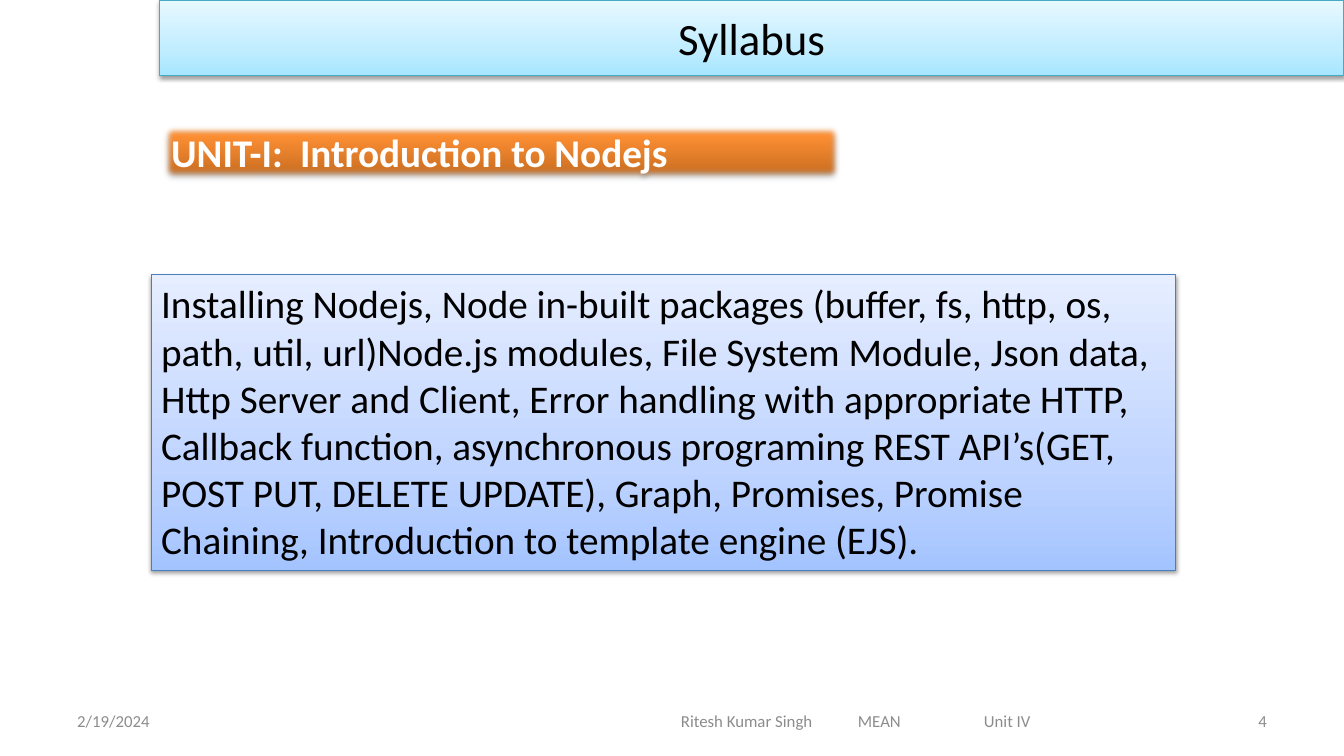
from dataclasses import dataclass
from typing import Optional

from lxml.etree import SubElement
from pptx import Presentation
from pptx.dml.color import RGBColor
from pptx.enum.shapes import MSO_SHAPE
from pptx.enum.text import MSO_ANCHOR, PP_ALIGN
from pptx.oxml.ns import qn
from pptx.util import Pt

FONT = "Calibri"
FOOTER_TOP, FOOTER_HEIGHT = 500.4, 28.8
SIDE_INSET = 7.2


@dataclass
class Label:
    text: str
    left: float
    top: float
    width: float
    height: float
    size: float
    color: str
    align: PP_ALIGN = PP_ALIGN.LEFT
    anchor: MSO_ANCHOR = MSO_ANCHOR.MIDDLE
    bold: bool = False
    inset: float = SIDE_INSET
    tabs: tuple[float, ...] = ()


@dataclass
class Panel:
    label: Label
    stops: tuple[tuple[int, str], ...]
    line: Optional[str]
    shadow_opacity: int
    shadow_distance: float
    soft_edge: float = 0


def rgb(value: str) -> RGBColor:
    return RGBColor.from_string(value)


def write_text(shape, label: Label) -> None:
    text_frame = shape.text_frame
    text_frame.word_wrap = True
    text_frame.vertical_anchor = label.anchor
    text_frame.margin_left = Pt(label.inset)
    text_frame.text = label.text
    paragraph = text_frame.paragraphs[0]
    paragraph.alignment = label.align
    if label.tabs:
        properties = paragraph._p.get_or_add_pPr()
        tab_list = SubElement(properties, qn("a:tabLst"))
        for position in label.tabs:
            SubElement(tab_list, qn("a:tab"), pos=str(Pt(position)), algn="l")
    for run in paragraph.runs:
        run.font.name = FONT
        run.font.size = Pt(label.size)
        run.font.bold = label.bold
        run.font.color.rgb = rgb(label.color)


def bounds(label: Label) -> tuple[Pt, Pt, Pt, Pt]:
    return Pt(label.left), Pt(label.top), Pt(label.width), Pt(label.height)


def add_label(slide, label: Label) -> None:
    write_text(slide.shapes.add_textbox(*bounds(label)), label)


def add_panel(slide, panel: Panel) -> None:
    shape = slide.shapes.add_shape(MSO_SHAPE.RECTANGLE, *bounds(panel.label))
    # Gradient running from the bottom up
    shape.fill.gradient()
    shape.fill.gradient_angle = 90
    stop_list = shape._element.spPr.find(".//" + qn("a:gsLst"))
    for stop in list(stop_list):
        stop_list.remove(stop)
    for position, color in panel.stops:
        stop = SubElement(stop_list, qn("a:gs"), pos=str(position * 1000))
        SubElement(stop, qn("a:srgbClr"), val=color)
    # Outline
    if panel.line:
        shape.line.color.rgb = rgb(panel.line)
        shape.line.width = Pt(0.75)
    else:
        shape.line.fill.background()
    # Shadow and soft edge
    shape.shadow.inherit = False
    effects = shape._element.spPr.find(qn("a:effectLst"))
    shadow = SubElement(
        effects, qn("a:outerShdw"), blurRad=str(Pt(3.1)),
        dist=str(Pt(panel.shadow_distance)), dir="5400000", rotWithShape="0")
    color = SubElement(shadow, qn("a:srgbClr"), val="000000")
    SubElement(color, qn("a:alpha"), val=str(panel.shadow_opacity * 1000))
    if panel.soft_edge:
        SubElement(effects, qn("a:softEdge"), rad=str(Pt(panel.soft_edge)))
    write_text(shape, panel.label)


PANELS = [
    Panel(Label("Syllabus", 113.8, 0, 846.2, 54, 32, "000000", PP_ALIGN.CENTER),
          ((0, "A7E6FF"), (35, "C1EDFF"), (100, "E7F8FF")), "46AAC5", 38, 1.6),
    Panel(Label("UNIT-I:\tIntroduction to Nodejs", 115.2, 88, 486, 41.2, 28,
                "FFFFFF", anchor=MSO_ANCHOR.TOP, bold=True, tabs=(92,)),
          ((0, "C2691F"), (80, "FF9034"), (100, "FF9136")), None, 35, 1.8, 5),
    Panel(Label("Installing Nodejs, Node in-built packages (buffer, fs, http, os, "
                "path, util, url)Node.js modules, File System Module, Json data, "
                "Http Server and Client, Error handling with appropriate HTTP, "
                "Callback function, asynchronous programing REST API’s(GET, "
                "POST PUT, DELETE UPDATE), Graph, Promises, Promise "
                "Chaining, Introduction to template engine (EJS).",
                108, 196.3, 732, 211.2, 28, "000000", anchor=MSO_ANCHOR.TOP),
          ((0, "A4C4FF"), (35, "BFD4FF"), (100, "E6EEFF")), "4B7EBC", 38, 1.6),
]


def footer(text: str, left: float, width: float, **options) -> Label:
    return Label(text, left, FOOTER_TOP, width, FOOTER_HEIGHT, 12, "8C8C8C", **options)


FOOTERS = [
    footer("2/19/2024", 48, 224),
    footer("4", 688, 224, align=PP_ALIGN.RIGHT),
    footer("Ritesh Kumar Singh\tMEAN\tUnit IV", 312, 600,
           inset=174.4, tabs=(126.4, 216.4)),
]


def main() -> None:
    presentation = Presentation()
    presentation.slide_width, presentation.slide_height = Pt(960), Pt(540)
    slide = presentation.slides.add_slide(presentation.slide_layouts[6])
    for panel in PANELS:
        add_panel(slide, panel)
    for label in FOOTERS:
        add_label(slide, label)
    presentation.save("out.pptx")


if __name__ == "__main__":
    main()
